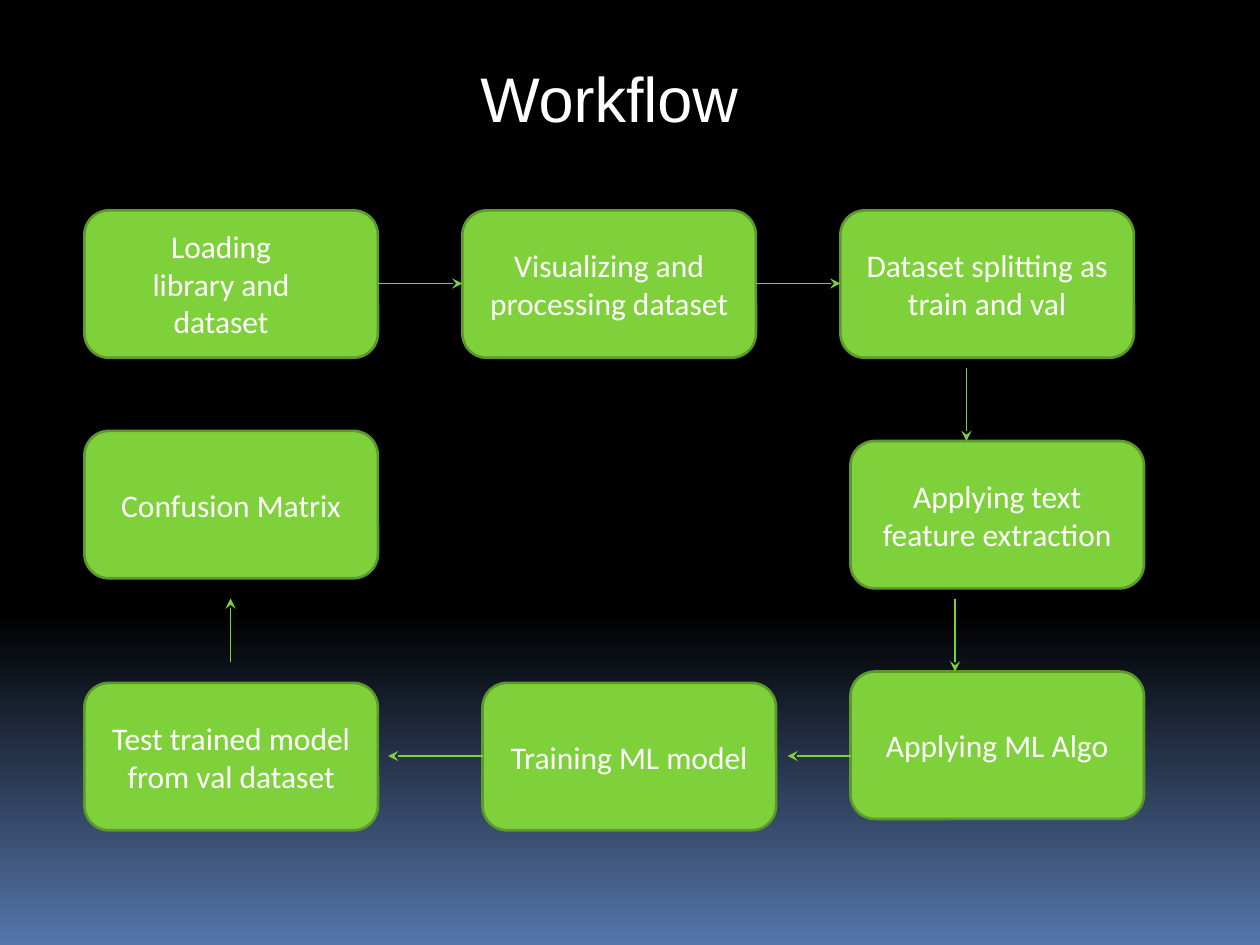
from copy import deepcopy

from lxml.etree import SubElement
from pptx import Presentation
from pptx.dml.color import RGBColor
from pptx.enum.shapes import MSO_CONNECTOR, MSO_SHAPE
from pptx.enum.text import MSO_ANCHOR, PP_ALIGN
from pptx.oxml.ns import qn
from pptx.util import Inches, Pt

BLACK = RGBColor(0x00, 0x00, 0x00)
BLUE = RGBColor(0x56, 0x76, 0xAA)
GREEN = RGBColor(0x7F, 0xD1, 0x3B)
MOSS = RGBColor(0x5C, 0x98, 0x2B)
WHITE = RGBColor(0xFF, 0xFF, 0xFF)

WIDE, HIGH = 2.33, 1.17
FRAME = {
    "margin_left": Inches(0.1),
    "margin_right": Inches(0.1),
    "margin_top": Inches(0.05),
    "margin_bottom": Inches(0.05),
    "word_wrap": True,
}
STEPS = [
    (0.67, 1.67, ""),
    (3.67, 1.67, "Visualizing and processing dataset"),
    (6.67, 1.67, "Dataset splitting as train and val"),
    (6.75, 3.5, "Applying text feature extraction"),
    (6.75, 5.33, "Applying ML Algo"),
    (3.83, 5.42, "Training ML model"),
    (0.67, 5.42, "Test trained model from val dataset"),
    (0.67, 3.42, "Confusion Matrix"),
]
ARROWS = [
    (3, 2.25, 3.67, 2.25),
    (6, 2.25, 6.67, 2.25),
    (7.67, 2.92, 7.67, 3.5),
    (7.58, 4.75, 7.58, 5.33),
    (6.75, 6, 6.25, 6),
    (3.83, 6, 3.08, 6),
    (1.83, 5.25, 1.83, 4.75),
]


def inches(*vals):
    """Turn numbers into lengths."""
    return [Inches(val) for val in vals]


def write(shape, text, anchor, name="Calibri", size=18):
    """Put centred white text in a shape."""
    frame = shape.text_frame
    for key, val in {**FRAME, "vertical_anchor": anchor}.items():
        setattr(frame, key, val)
    para = frame.paragraphs[0]
    para.alignment = PP_ALIGN.CENTER
    run = para.add_run()
    run.text = text
    for key, val in {"name": name, "size": Pt(size)}.items():
        setattr(run.font, key, val)
    run.font.color.rgb = WHITE


def backdrop(slide):
    """Fade the slide from black to blue at its foot."""
    fill = slide.background.fill
    fill.gradient()
    fill.gradient_angle = 270
    first = slide.element.find(".//" + qn("a:gs"))
    first.addnext(deepcopy(first))
    tones = [(0, BLACK), (0.65, BLACK), (1, BLUE)]
    for stop, (place, tone) in zip(fill.gradient_stops, tones):
        stop.position = place
        stop.color.rgb = tone


def heading(slide, box):
    """Place the title in its box."""
    title = slide.shapes.title
    for key, val in zip(("left", "top", "width", "height"), inches(*box)):
        setattr(title, key, val)
    write(title, "Workflow", MSO_ANCHOR.TOP, "Arial", 36)


def step(slide, box, text):
    """Draw one rounded step of the flow."""
    shape = slide.shapes.add_shape(MSO_SHAPE.ROUNDED_RECTANGLE, *inches(*box))
    shape.shadow.inherit = False
    shape.fill.solid()
    shape.fill.fore_color.rgb = GREEN
    shape.line.color.rgb = MOSS
    shape.line.width = Pt(1.5)
    if text:
        write(shape, text, MSO_ANCHOR.MIDDLE)


def label(slide, box, text):
    """Add a text box over a step."""
    note = slide.shapes.add_textbox(*inches(*box))
    write(note, text, MSO_ANCHOR.TOP)


def arrow(slide, ends):
    """Draw one arrow between steps."""
    link = slide.shapes.add_connector(MSO_CONNECTOR.STRAIGHT, *inches(*ends))
    link.line.color.rgb = GREEN
    link.line.width = Pt(0.94)
    SubElement(link.line._get_or_add_ln(), qn("a:tailEnd"), type="stealth")
    SubElement(link.element.spPr, qn("a:effectLst"))


def main():
    """Build the workflow slide."""
    deck = Presentation()
    deck.slide_width, deck.slide_height = inches(10, 7.5)
    slide = deck.slides.add_slide(deck.slide_layouts[5])
    backdrop(slide)
    heading(slide, (2.92, 0.42, 3.83, 0.71))
    for left, top, text in STEPS:
        step(slide, (left, top, WIDE, HIGH), text)
    for ends in ARROWS:
        arrow(slide, ends)
    label(slide, (0.92, 1.75, 1.67, 1.01), "Loading library and dataset")
    deck.save("out.pptx")


if __name__ == "__main__":
    main()
